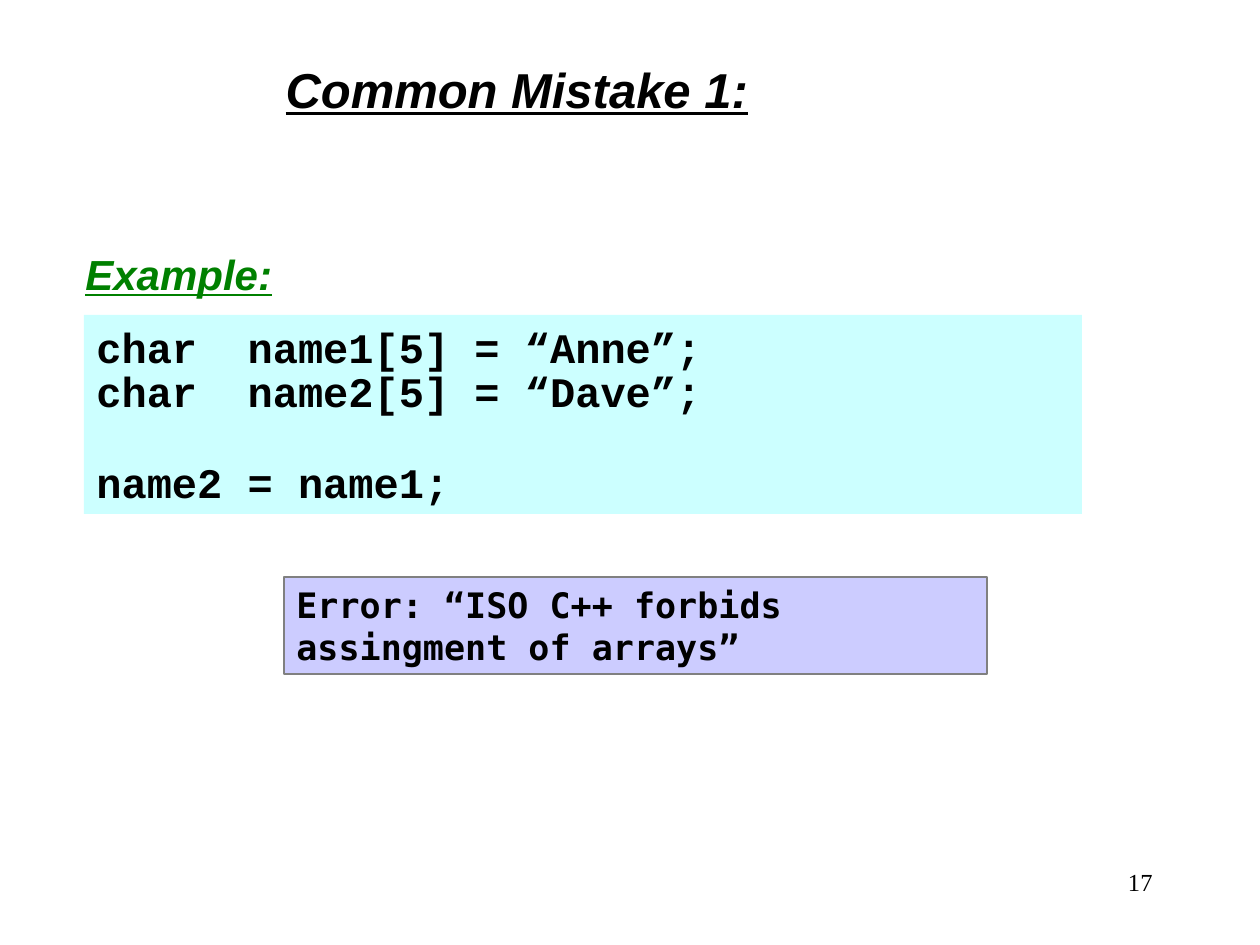
from dataclasses import dataclass

from pptx import Presentation
from pptx.dml.color import RGBColor
from pptx.enum.shapes import MSO_SHAPE
from pptx.enum.text import MSO_ANCHOR, MSO_AUTO_SIZE, PP_ALIGN
from pptx.util import Emu, Pt

PX_PER_INCH = 126


@dataclass(frozen=True)
class Theme:
    black: str = "000000"
    green: str = "008000"
    code_fill: str = "CCFFFF"
    error_fill: str = "CCCCFF"
    error_line: str = "808080"
    title_size: int = 28
    code_size: int = 24
    error_size: int = 20
    page_size: int = 14
    heading_font: str = "Arial"
    code_font: str = "Courier New"
    error_font: str = "DejaVu Sans Mono"
    page_font: str = "Times New Roman"


THEME = Theme()
HEADING = dict(name=THEME.heading_font, bold=True, italic=True, underline=True)
TITLE = dict(HEADING, size=Pt(THEME.title_size))
EXAMPLE = dict(HEADING, size=Pt(THEME.code_size))
CODE = dict(name=THEME.code_font, size=Pt(THEME.code_size), bold=True)
ERROR = dict(name=THEME.error_font, size=Pt(THEME.error_size), bold=True)
PAGE = dict(name=THEME.page_font, size=Pt(THEME.page_size))


def px(length):
    return Emu(round(length * 914400 / PX_PER_INCH))


def set_values(target, values):
    for name, value in values.items():
        setattr(target, name, value)


def write(shape, lines, font, color=THEME.black, paragraph_formats=()):
    """Fill the shape with one paragraph per line, all in one font."""
    frame = shape.text_frame
    set_values(frame, dict(
        text="\n".join(lines), word_wrap=True, auto_size=MSO_AUTO_SIZE.NONE,
        vertical_anchor=MSO_ANCHOR.TOP,
        margin_left=Pt(7.2), margin_right=Pt(7.2),
        margin_top=Pt(3.6), margin_bottom=Pt(3.6)))
    for paragraph in frame.paragraphs:
        paragraph.alignment = PP_ALIGN.LEFT
        for run in paragraph.runs:
            set_values(run.font, font)
            run.font.color.rgb = RGBColor.from_string(color)
    for paragraph, values in zip(frame.paragraphs, paragraph_formats):
        set_values(paragraph, values)


def add_title(slide, box, text):
    title = slide.shapes.title
    set_values(title, dict(zip(("left", "top", "width", "height"), map(px, box))))
    write(title, [text], TITLE, paragraph_formats=[dict(space_before=Pt(0))])


def add_label(slide, box, text, font, **options):
    label = slide.shapes.add_textbox(*map(px, box))
    write(label, [text], font, **options)


def add_panel(slide, box, lines, font, fill, line=None, **options):
    panel = slide.shapes.add_shape(MSO_SHAPE.RECTANGLE, *map(px, box))
    panel.shadow.inherit = False
    panel.fill.solid()
    panel.fill.fore_color.rgb = RGBColor.from_string(fill)
    if line:
        panel.line.color.rgb = RGBColor.from_string(line)
        panel.line.width = Pt(1)
    else:
        panel.line.fill.background()
    write(panel, lines, font, **options)


def main():
    deck = Presentation()
    deck.slide_width, deck.slide_height = px(1260), px(945)
    slide = deck.slides.add_slide(deck.slide_layouts[5])

    add_title(slide, (273, 53, 557, 72), "Common Mistake 1:")
    add_label(slide, (73, 242, 325, 63), "Example:", EXAMPLE, color=THEME.green)
    code_lines = ["char  name1[5] = “Anne”;",
                  "char  name2[5] = “Dave”;",
                  "name2 = name1;"]
    code_formats = [{}, dict(line_spacing=0.9),
                    dict(line_spacing=0.9, space_before=Pt(26))]
    add_panel(slide, (84, 315, 998, 199), code_lines, CODE, THEME.code_fill,
              paragraph_formats=code_formats)
    add_panel(slide, (284, 577, 703, 97),
              ["Error: “ISO C++ forbids assingment of arrays”"],
              ERROR, THEME.error_fill, THEME.error_line)
    add_label(slide, (903, 861, 262, 63), "17", PAGE,
              paragraph_formats=[dict(alignment=PP_ALIGN.RIGHT)])

    deck.save("out.pptx")


if __name__ == "__main__":
    main()
